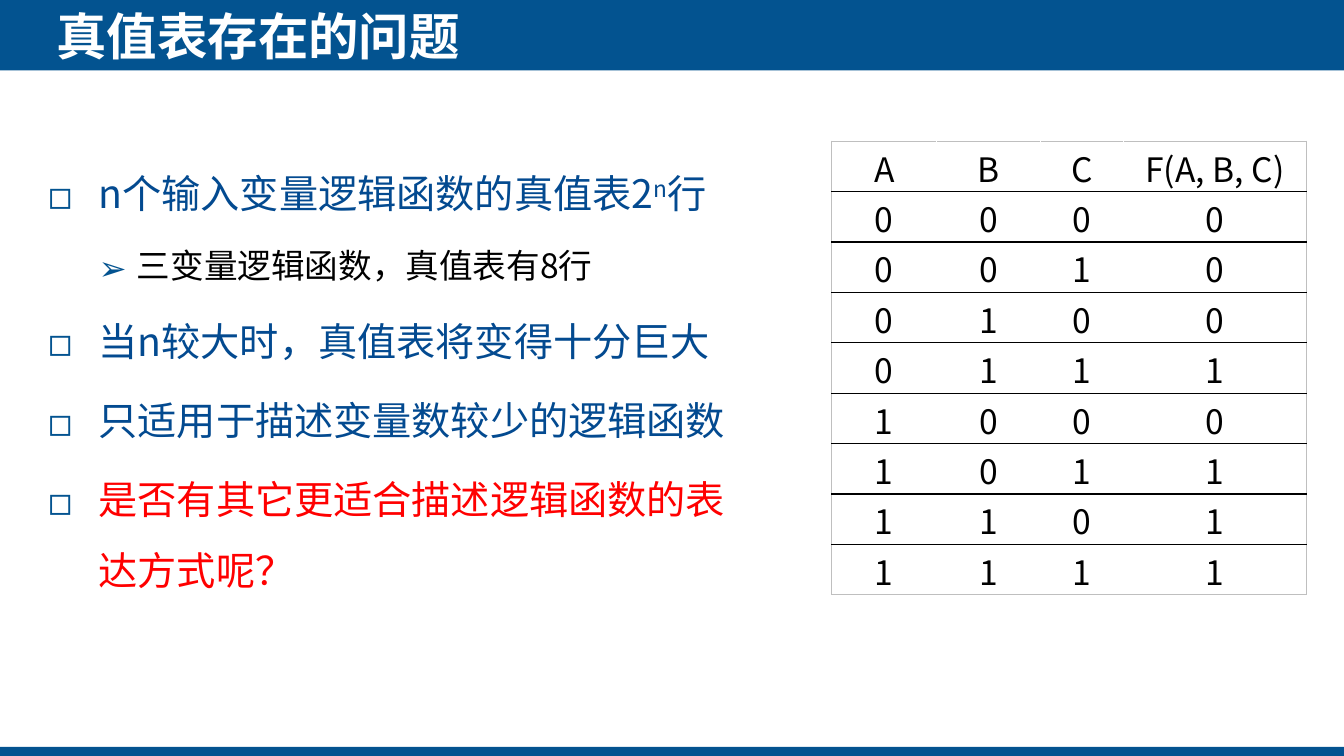
from lxml.etree import SubElement
from pptx import Presentation
from pptx.dml.color import RGBColor
from pptx.enum.shapes import MSO_SHAPE
from pptx.enum.text import MSO_ANCHOR, MSO_AUTO_SIZE, PP_ALIGN
from pptx.oxml.ns import qn
from pptx.util import Inches, Pt

FONT = "Noto Sans CJK SC"
BAND, BLUE, RED, BLACK, WHITE, GREY = "035390", "034A90", "FF0000", "000000", "FFFFFF", "BFBFBF"
WIDTH, HEIGHT = 13.33, 7.5
BANDS = [(-0.03, 0.73), (7.41, 0.1)]
TITLE = "真值表存在的问题"
LEVELS = [("◻", 0.5, 0.5, 28), ("➢", 0.88, 0.38, 24)]
POINTS = [
    (0, BLUE, [("n个输入变量逻辑函数的真值表2", 0), ("n", 30), ("行", 0)]),
    (1, BLACK, [("三变量逻辑函数，真值表有8行", 0)]),
    (0, BLUE, [("当n较大时，真值表将变得十分巨大", 0)]),
    (0, BLUE, [("只适用于描述变量数较少的逻辑函数", 0)]),
    (0, RED, [("是否有其它更适合描述逻辑函数的表达方式呢？", 0)]),
]
HEADINGS = ["A", "B", "C", "F(A, B, C)"]
OUTPUTS = "00010111"
COLUMNS = [1.04, 1.03, 0.82, 1.82]
ROW = 0.5


def color(value):
    return RGBColor.from_string(value)


def add_run(paragraph, text, size, ink, bold=False):
    run = paragraph.add_run()
    run.text = text
    run.font.size, run.font.bold, run.font.name = Pt(size), bold, FONT
    run.font.color.rgb = color(ink)
    SubElement(run.font._element, qn("a:ea"), typeface=FONT)
    return run


def add_frame(slide, left, top, width, height):
    frame = slide.shapes.add_textbox(*map(Inches, (left, top, width, height))).text_frame
    frame.word_wrap = True
    frame.auto_size = MSO_AUTO_SIZE.SHAPE_TO_FIT_TEXT
    return frame


def add_bullet(paragraph, mark, indent, hanging):
    properties = paragraph._p.get_or_add_pPr()
    properties.set("marL", str(Inches(indent)))
    properties.set("indent", str(-Inches(hanging)))
    ink = SubElement(properties, qn("a:buClr"))
    SubElement(ink, qn("a:srgbClr"), val=BAND)
    SubElement(properties, qn("a:buFont"), typeface=FONT)
    SubElement(properties, qn("a:buChar"), char=mark)


def add_border(cell, side, ink):
    line = SubElement(cell._tc.get_or_add_tcPr(), qn(f"a:{side}"), w=str(Pt(1)))
    fill = SubElement(line, qn("a:solidFill"))
    SubElement(fill, qn("a:srgbClr"), val=ink)


def add_bands(slide):
    for top, height in BANDS:
        band = slide.shapes.add_shape(
            MSO_SHAPE.RECTANGLE, 0, Inches(top), Inches(WIDTH), Inches(height))
        band.shadow.inherit = False
        band.fill.solid()
        band.fill.fore_color.rgb = color(BAND)
        band.line.fill.background()


def add_title(slide):
    frame = add_frame(slide, 0.56, 0.05, 8.57, 0.61)
    frame.margin_left = frame.margin_right = frame.margin_top = frame.margin_bottom = 0
    frame.vertical_anchor = MSO_ANCHOR.MIDDLE
    add_run(frame.paragraphs[0], TITLE, 36, WHITE, True)


def add_points(slide):
    frame = add_frame(slide, 0.38, 1.4, 7.07, 4.6)
    for number, (level, ink, runs) in enumerate(POINTS):
        paragraph = frame.add_paragraph() if number else frame.paragraphs[0]
        mark, indent, hanging, size = LEVELS[level]
        paragraph.level = level
        paragraph.line_spacing, paragraph.space_after = 1.5, Pt(6)
        add_bullet(paragraph, mark, indent, hanging)
        for text, raised in runs:
            run = add_run(paragraph, text, size, ink)
            if raised:
                run.font._element.set("baseline", str(raised * 1000))


def add_truth_table(slide):
    inputs = len(HEADINGS) - 1
    rows = [HEADINGS] + [[*f"{number:0{inputs}b}", output] for number, output in enumerate(OUTPUTS)]
    last_row, last_column = len(rows) - 1, inputs
    table = slide.shapes.add_table(
        len(rows), len(HEADINGS), Inches(8.25), Inches(1.4),
        Inches(sum(COLUMNS)), Inches(ROW * len(rows))).table
    table.first_row = table.horz_banding = False
    for column, width in zip(table.columns, COLUMNS):
        column.width = Inches(width)
    for r, row in enumerate(rows):
        table.rows[r].height = Inches(ROW)
        for c, text in enumerate(row):
            cell = table.cell(r, c)
            cell.margin_top, cell.margin_bottom = Inches(0.02), 0
            cell.vertical_anchor = MSO_ANCHOR.MIDDLE
            paragraph = cell.text_frame.paragraphs[0]
            paragraph.alignment = PP_ALIGN.CENTER
            add_run(paragraph, text, 24, BLACK)
            if c == 0:
                add_border(cell, "lnL", GREY)
            if c >= last_column - 1:
                add_border(cell, "lnR", GREY if c == last_column else BLACK)
            add_border(cell, "lnT", BLACK if r else GREY)
            add_border(cell, "lnB", GREY if r == last_row else BLACK)
            cell.fill.background()


def main():
    deck = Presentation()
    deck.slide_width, deck.slide_height = Inches(WIDTH), Inches(HEIGHT)
    slide = deck.slides.add_slide(deck.slide_layouts[6])
    add_bands(slide)
    add_title(slide)
    add_points(slide)
    add_truth_table(slide)
    deck.save("out.pptx")


if __name__ == "__main__":
    main()
